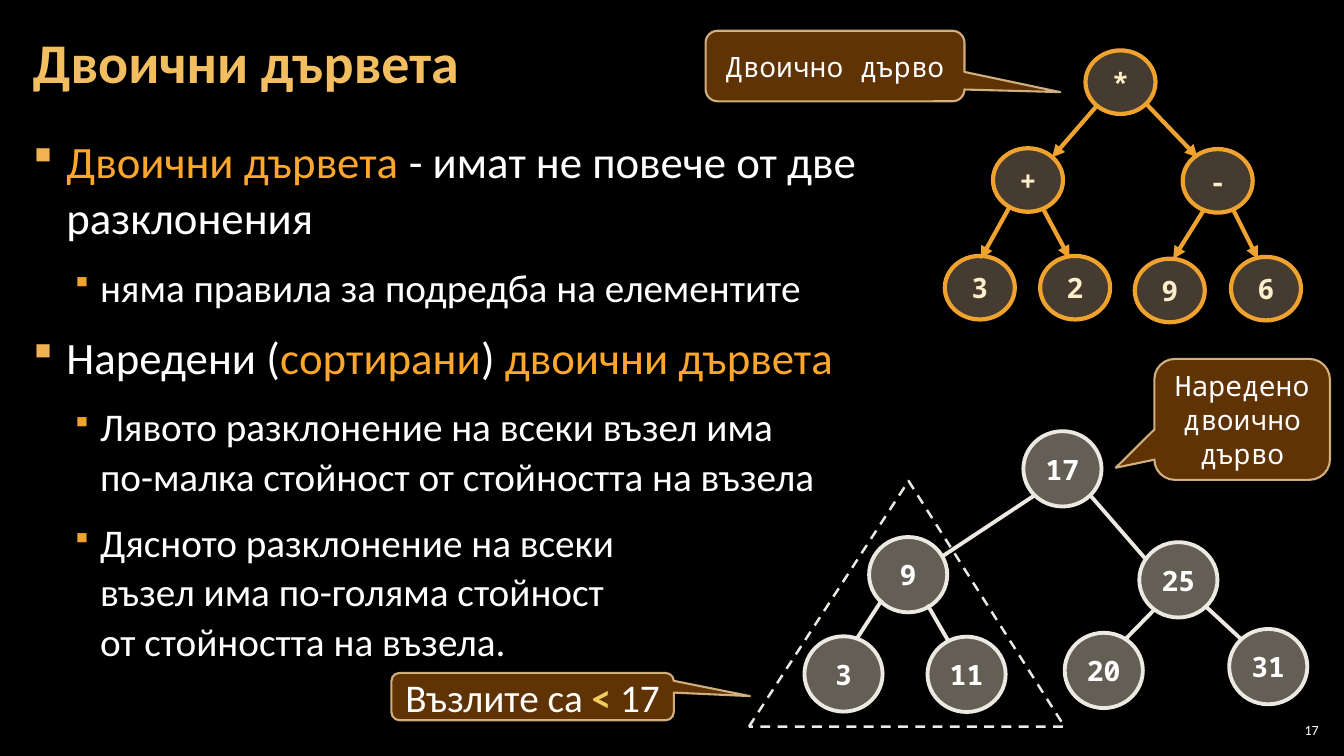
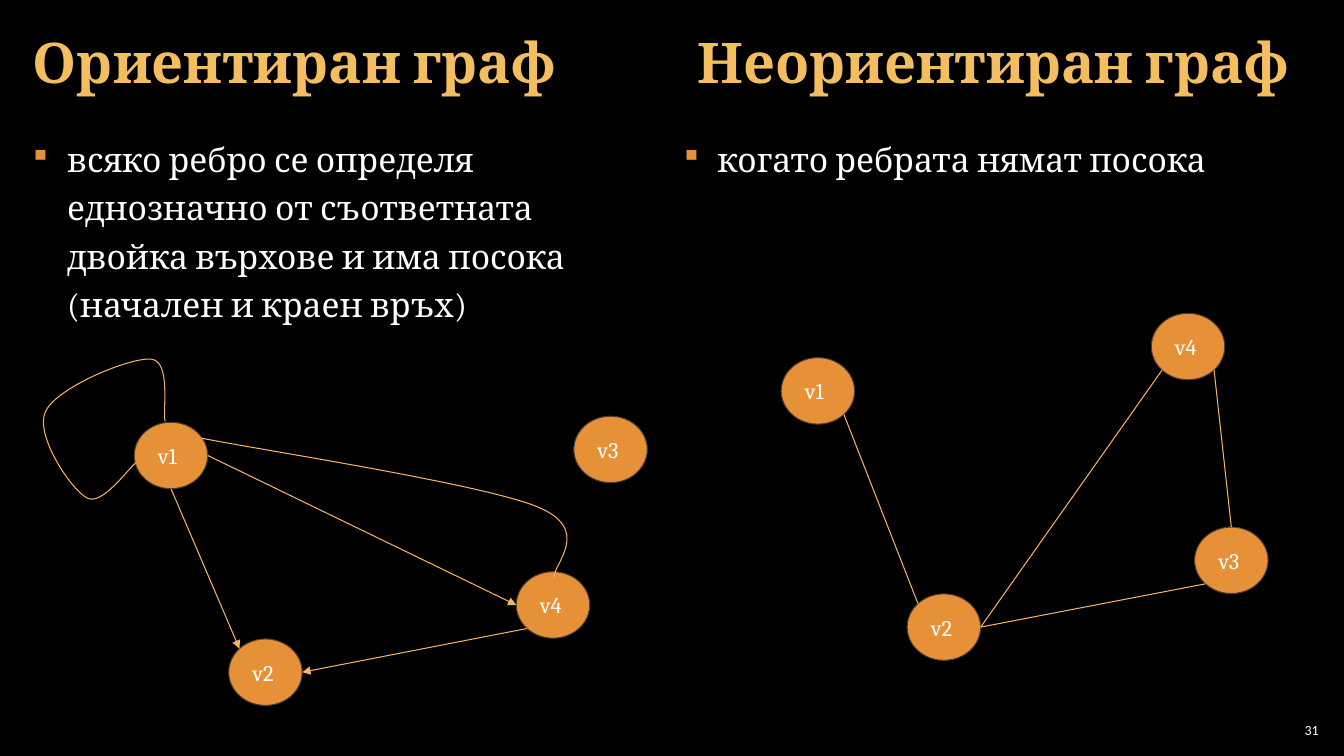
from math import sqrt

from pptx import Presentation
from pptx.dml.color import RGBColor as Rgb
from pptx.enum.dml import MSO_LINE
from pptx.enum.shapes import MSO_CONNECTOR, MSO_SHAPE as Preset
from pptx.enum.text import MSO_ANCHOR as Anchor, PP_ALIGN as Align
from pptx.oxml.ns import qn
from pptx.util import Pt
from lxml.etree import SubElement

BLACK = Rgb(0x00, 0x00, 0x00)
WHITE = Rgb(0xFF, 0xFF, 0xFF)
TITLE_GOLD = Rgb(0xF3, 0xBE, 0x60)
ACCENT = Rgb(0xFF, 0xA7, 0x2A)
SIGN_GOLD = Rgb(0xF3, 0xCC, 0x5F)
BULLET_GOLD = Rgb(0xF2, 0xB2, 0x54)
AMBER = Rgb(0xF0, 0xA2, 0x2E)
SAND = Rgb(0xEB, 0xC6, 0xA3)
CREAM = Rgb(0xFB, 0xEE, 0xC9)
STONE = Rgb(0xC6, 0xBE, 0xAB)
IVORY = Rgb(0xEC, 0xE9, 0xE2)
BROWN = Rgb(0x66, 0x36, 0x06)
CALLOUT_EDGE = Rgb(0xF8, 0xD4, 0x9E)
ORANGE = Rgb(0xE6, 0x91, 0x38)
DARK_BROWN = Rgb(0x4E, 0x3B, 0x30)
PEACH = Rgb(0xF6, 0xB2, 0x6B)

SANS, SERIF, MONO = "Calibri", "Cambria", "Noto Sans Mono"
BULLET_FONT, BULLET_CHAR = "Wingdings", "§"  # a small square in this font

# Bullets of the first slide: (level, spans); a span is (text, colour)
TREE_POINTS = [
    (0, [("Двоични дървета ", ACCENT),
         ("- имат не повече от две разклонения", WHITE)]),
    (1, [("няма правила за подредба на елементите", WHITE)]),
    (0, [("Наредени (", WHITE), ("сортирани", ACCENT), (") ", WHITE),
         ("двоични дървета", ACCENT)]),
    (1, [("Лявото разклонение на всеки възел има \n"
          "по-малка стойност от стойността на възела", WHITE)]),
    (1, [("Дясното разклонение на всеки \nвъзел има по-голяма стойност \n"
          "от стойността на възела.", WHITE)]),
]
LEVELS = [
    dict(size=32, margin=24, hang=24, bullet=BULLET_GOLD, bullet_size=100),
    dict(size=28, margin=48, hang=18, bullet=AMBER, bullet_size=80),
]

# Nodes: (label, left, top); tree edges: (x1, y1, x2, y2)
EXPRESSION_TREE = dict(
    nodes=[("*", 775.4, 36), ("-", 844.8, 106.5), ("+", 709.3, 105.9),
           ("9", 810.6, 184.8), ("6", 879.3, 183.5), ("2", 743, 182.8),
           ("3", 674.9, 182.8)],
    edges=[(784, 75, 751.5, 112.5), (819.5, 75, 855.5, 112.5),
           (860.5, 149, 838, 185), (880.5, 149, 898.5, 185),
           (720.5, 149, 700.5, 185), (745, 149, 764, 184.5)],
    size=(50, 45.4), fill=SAND, alpha=30, edge=AMBER, width=3,
    color=CREAM, inset=9, arrow=True)
SORTED_TREE = dict(
    nodes=[("31", 878, 449.3), ("17", 731, 308), ("25", 813.8, 387.3),
           ("9", 620.8, 383.6), ("3", 574.6, 454.5), ("11", 662.5, 454.8),
           ("20", 760.5, 452)],
    edges=[(739.5, 353.5, 673, 397.5), (778.5, 353.5, 818.5, 399.5),
           (630, 428.5, 611.5, 457), (662.5, 432, 677.5, 458),
           (824.5, 435.5, 803.5, 457), (860.5, 432.5, 886.5, 456.5)],
    size=(55.8, 53.8), fill=STONE, alpha=50, edge=IVORY, width=2.75,
    color=WHITE, inset=7, arrow=False)

# Callouts: (area, adjustments, text, size, font)
CALLOUTS = [
    ((504, 22, 185, 50.4), (0.87, 0.37, 0.17), "Двоично дърво", 20, MONO),
    ((279.6, 480.7, 201.7, 33.8), (0.77, -0.01, 0.17),
     [("Възлите са ", WHITE), ("<", SIGN_GOLD, True), (" 17", WHITE)], 28, SANS),
    ((824.5, 256.4, 125.5, 86.4), (-0.72, 0.4, 0.17),
     "Наредено\nдвоично\nдърво", 20, MONO),
]
SUBTREE_AREA = (535, 343.5, 225.4, 175.5)
SUBTREE_APEX = 649

# Graph edges: (vertex, side, vertex, side), with sides as compass points
GRAPH_PANELS = [
    dict(title="Ориентиран граф", title_area=(15, 3, 453, 87),
         point="всяко ребро се определя еднозначно от съответната двойка "
               "върхове и има посока (начален и краен връх)",
         point_area=(15, 90.5, 464.5, 438.5), indent=24.4,
         vertices=dict(v1=(95.9, 301.6), v2=(163.4, 456.4),
                       v4=(368.8, 408.4), v3=(409.9, 297.3)),
         edges=[("v1", "E", "v4", "W"), ("v4", "SW", "v2", "E"),
                ("v1", "S", "v2", "NW")],
         arrow=True),
    dict(title="Неориентиран граф", title_area=(489.8, 3.5, 449.5, 87),
         point="когато ребрата нямат посока",
         point_area=(480, 90.5, 464.5, 438.5), indent=24,
         vertices=dict(v1=(558, 255.5), v2=(648, 424.2),
                       v3=(853.3, 376.5), v4=(822.4, 223.8)),
         edges=[("v1", "SE", "v2", "NW"), ("v2", "E", "v3", "SW"),
                ("v3", "N", "v4", "SE"), ("v2", "E", "v4", "SW")],
         arrow=False),
]
VERTEX_SIZE = (52.5, 47.5)
# Curved edges: start point, then (control, control, end) for each Bézier part
CURVES = [
    ((396, 412.5), [((394, 404), (425, 378), (382.5, 361.5)),
                    ((340.5, 345), (183.5, 321), (144, 313))]),
    ((97, 330.5), [((91.5, 335), (72.5, 362), (62, 355.5)),
                   ((51, 350), (24.5, 310.5), (32.5, 294)),
                   ((40.5, 276.5), (93.5, 255), (108, 256.5)),
                   ((122.5, 258), (116, 294), (118, 301))]),
]


def points(values):
    return [Pt(value) for value in values]


def write(frame, text, size, font, color=WHITE, bold=False, align=Align.LEFT,
          spacing=1.0, before=0, after=0, margin=0, hang=0, bullet=None,
          bullet_size=100):
    """Add a paragraph of a string or of (text, colour[, bold]) spans."""
    para = frame.add_paragraph() if frame.text else frame.paragraphs[0]
    para.alignment, para.line_spacing = align, spacing
    para.space_before, para.space_after = Pt(before), Pt(after)
    if bullet is not None:
        props = para._p.get_or_add_pPr()
        props.set("marL", str(Pt(margin)))
        props.set("indent", str(-Pt(hang)))
        SubElement(SubElement(props, qn("a:buClr")), qn("a:srgbClr"), val=str(bullet))
        SubElement(props, qn("a:buSzPct"), val=str(bullet_size * 1000))
        SubElement(props, qn("a:buFont"), typeface=BULLET_FONT)
        SubElement(props, qn("a:buChar"), char=BULLET_CHAR)
    for words, span_color, *weight in [(text, color, bold)] if isinstance(text, str) else text:
        for index, line in enumerate(words.split("\n")):
            if index:
                para.add_line_break()
            span = para.add_run()
            span.text = line
            span.font.size, span.font.name = Pt(size), font
            span.font.color.rgb = span_color
            span.font.bold = weight[0] if weight else False


def set_frame(frame, side, ends, anchor):
    frame.word_wrap = True
    frame.vertical_anchor = anchor
    frame.margin_left = frame.margin_right = Pt(side)
    frame.margin_top = frame.margin_bottom = Pt(ends)
    return frame


def add_box(page, area, side=8.5, anchor=Anchor.MIDDLE):
    box = page.shapes.add_textbox(*points(area))
    return set_frame(box.text_frame, side, 3, anchor)


def add_title(page, area, text, font):
    write(add_box(page, area), text, 40, font, TITLE_GOLD, bold=True, spacing=0.9)


def add_page(deck, number):
    page = deck.slides.add_slide(deck.slide_layouts[6])
    frame = add_box(page, (911, 514, 34, 15), side=3)
    write(frame, number, 10, SANS, align=Align.RIGHT)
    return page


def style(shape, fill, edge, width, alphas=()):
    """Set fill and outline; alphas are the percentages of fill, then line."""
    shape.shadow.inherit = False
    if fill is None:
        shape.fill.background()
    else:
        shape.fill.solid()
        shape.fill.fore_color.rgb = fill
    shape.line.color.rgb = edge
    shape.line.width = Pt(width)
    for color, alpha in zip(shape._element.spPr.iter(qn("a:srgbClr")), alphas):
        SubElement(color, qn("a:alpha"), val=str(alpha * 1000))


def add_shape(page, preset, area, fill, edge, width, alphas=(), adjustments=()):
    shape = page.shapes.add_shape(preset, *points(area))
    for index, value in enumerate(adjustments):
        shape.adjustments[index] = value
    style(shape, fill, edge, width, alphas)
    return shape


def add_edge(page, ends, color, width, arrow):
    edge = page.shapes.add_connector(MSO_CONNECTOR.STRAIGHT, *points(ends))
    edge.line.color.rgb = color
    edge.line.width = Pt(width)
    props = edge._element.spPr
    if arrow:
        SubElement(props.find(qn("a:ln")), qn("a:tailEnd"), type="triangle")
    SubElement(props, qn("a:effectLst"))


def add_tree(page, tree):
    look = tree["edge"], tree["width"]
    for label, left, top in tree["nodes"]:
        node = add_shape(page, Preset.OVAL, (left, top, *tree["size"]),
                         tree["fill"], *look, alphas=[tree["alpha"]])
        frame = set_frame(node.text_frame, tree["inset"], 4, Anchor.MIDDLE)
        write(frame, label, 20, MONO, tree["color"], bold=True, align=Align.CENTER)
    for ends in tree["edges"]:
        add_edge(page, ends, *look, tree["arrow"])


def rim_point(corner, side):
    """Point of a vertex's rim in a compass direction."""
    across = ("E" in side) - ("W" in side)
    down = ("S" in side) - ("N" in side)
    reach = sqrt(across ** 2 + down ** 2)
    return tuple(start + size / 2 * (1 + step / reach)
                 for start, size, step in zip(corner, VERTEX_SIZE, (across, down)))


def add_curve(page, start, parts):
    """Draw straight segments between the part ends, then bend each one."""
    builder = page.shapes.build_freeform(*points(start))
    builder.add_line_segments([points(part[-1]) for part in parts], close=False)
    curve = builder.convert_to_shape()
    style(curve, None, PEACH, 0.75)
    segments = list(curve._element.spPr.iter(qn("a:lnTo")))
    for segment, part in zip(segments, parts):
        bend = segment.makeelement(qn("a:cubicBezTo"))
        for x, y in part:
            SubElement(bend, qn("a:pt"), x=str(Pt(x) - curve.left), y=str(Pt(y) - curve.top))
        segment.getparent().replace(segment, bend)


def build_trees(deck):
    page = add_page(deck, "17")
    body = add_box(page, (15, 90.5, 656.5, 438.5), anchor=Anchor.TOP)
    for level, spans in TREE_POINTS:
        write(body, spans, font=SANS, spacing=1.05, before=6, after=6, **LEVELS[level])
    add_title(page, (15, 3, 929.5, 87), "Двоични дървета", SANS)
    add_tree(page, EXPRESSION_TREE)
    add_tree(page, SORTED_TREE)
    left, _, width, _ = SUBTREE_AREA
    outline = add_shape(page, Preset.ISOSCELES_TRIANGLE, SUBTREE_AREA, None, IVORY,
                        1.75, adjustments=[(SUBTREE_APEX - left) / width])
    outline.line.dash_style = MSO_LINE.DASH
    for area, adjustments, text, size, font in CALLOUTS:
        callout = add_shape(page, Preset.ROUNDED_RECTANGULAR_CALLOUT, area, BROWN,
                            CALLOUT_EDGE, 1.5, (95, 80), adjustments)
        frame = set_frame(callout.text_frame, 8, 4, Anchor.MIDDLE)
        write(frame, text, size, font, align=Align.CENTER)


def build_graphs(deck):
    page = add_page(deck, "31")
    for panel in GRAPH_PANELS:
        body = add_box(page, panel["point_area"], anchor=Anchor.TOP)
        write(body, panel["point"], 24, SERIF, spacing=1.2, after=6,
              margin=panel["indent"], hang=panel["indent"], bullet=ORANGE)
        add_title(page, panel["title_area"], panel["title"], SERIF)
        vertices = panel["vertices"]
        for label, corner in vertices.items():
            vertex = add_shape(page, Preset.OVAL, (*corner, *VERTEX_SIZE),
                               ORANGE, DARK_BROWN, 0.75)
            frame = set_frame(vertex.text_frame, 9.4, 9.4, Anchor.MIDDLE)
            write(frame, label, 16, SERIF)
        for tail, tail_side, head, head_side in panel["edges"]:
            ends = rim_point(vertices[tail], tail_side) + rim_point(vertices[head], head_side)
            add_edge(page, ends, PEACH, 0.75, panel["arrow"])
    for start, parts in CURVES:
        add_curve(page, start, parts)


def main():
    deck = Presentation()
    deck.slide_width, deck.slide_height = Pt(960), Pt(540)
    backdrop = deck.slide_master.background.fill
    backdrop.solid()
    backdrop.fore_color.rgb = BLACK
    build_trees(deck)
    build_graphs(deck)
    deck.save("out.pptx")


if __name__ == "__main__":
    main()
